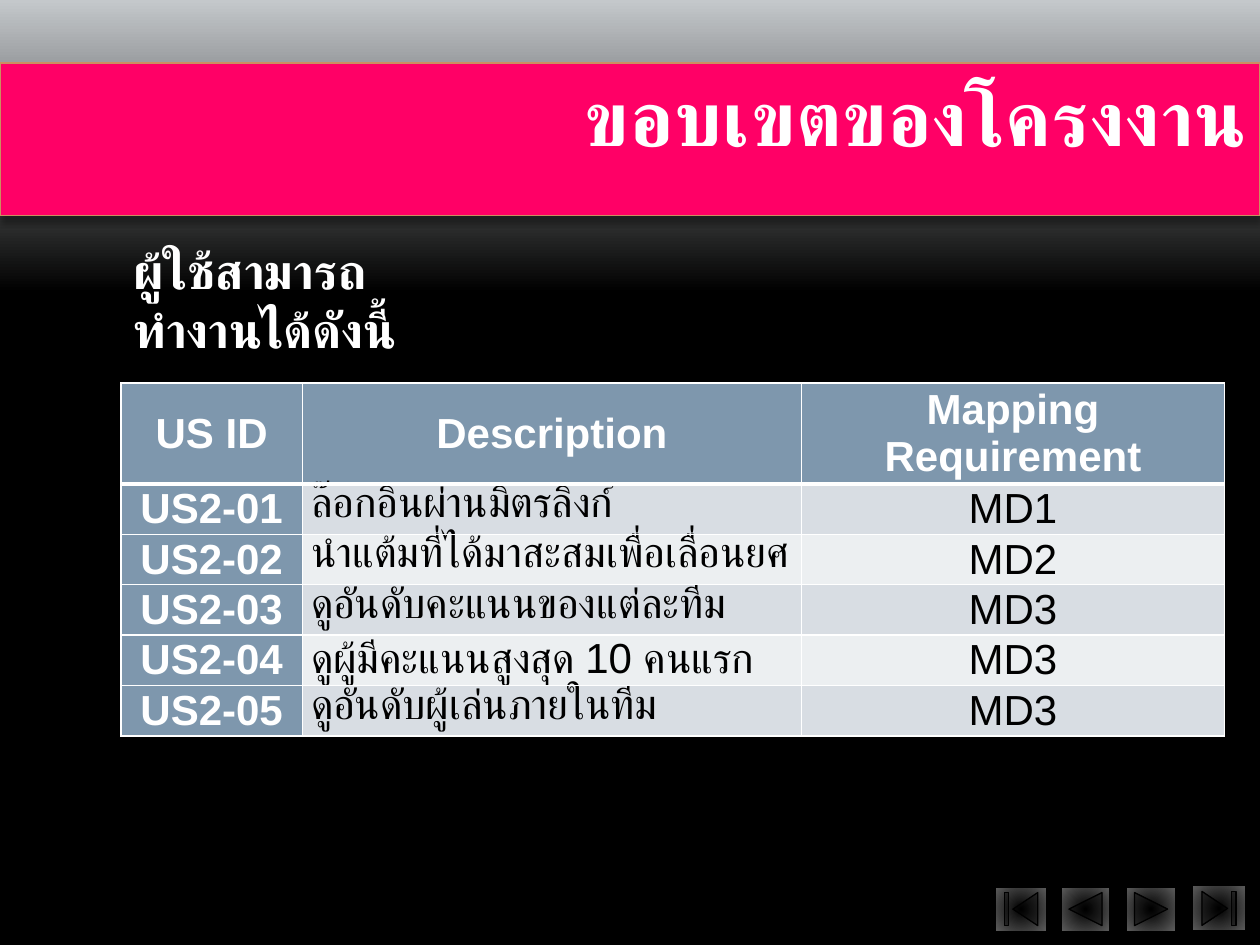
from pptx import Presentation, util as u
from pptx.dml.color import RGBColor
from pptx.enum import shapes, text
from pptx.oxml import parse_xml
from pptx.oxml.ns import nsdecls, qn

FONT = "Arial"
WHITE, BLACK, PINK, BORDER = "FFFFFF", "000000", "FF0066", "CC8E60"
HEAD, BAND_DARK, BAND_LIGHT = "7E97AD", "D8DDE3", "ECEFF1"

# Content
TITLE = "ขอบเขตของโครงงาน"
INTRO = "ผู้ใช้สามารถทำงานได้ดังนี้"
ROWS = [
    ("US ID", "Description", "Mapping Requirement"),
    ("US2-01", "ล๊อกอินผ่านมิตรลิงก์", "MD1"),
    ("US2-02", "นำแต้มที่ได้มาสะสมเพื่อเลื่อนยศ", "MD2"),
    ("US2-03", "ดูอันดับคะแนนของแต่ละทีม", "MD3"),
    ("US2-04", "ดูผู้มีคะแนนสูงสุด 10 คนแรก", "MD3"),
    ("US2-05", "ดูอันดับผู้เล่นภายในทีม", "MD3"),
]
SHAPE = shapes.MSO_SHAPE
BUTTONS = [  # kind, width, height
    (SHAPE.ACTION_BUTTON_BEGINNING, 0.41, 0.35),
    (SHAPE.ACTION_BUTTON_BACK_OR_PREVIOUS, 0.39, 0.35),
    (SHAPE.ACTION_BUTTON_FORWARD_OR_NEXT, 0.39, 0.35),
    (SHAPE.ACTION_BUTTON_END, 0.43, 0.36),
]

# Layout in inches
LEFT, TABLE_TOP, HEADER_HEIGHT, ROW_HEIGHT = 0.96, 3.04, 0.8, 0.4
COLUMNS = (1.44, 3.96, 3.36)
BUTTON_LEFT, BUTTON_STEP, BUTTON_BOTTOM = 7.9, 0.52, 7.39


def color(value):
    return RGBColor.from_string(value)


def inches(*values):
    return [u.Inches(value) for value in values]


def add_run(paragraph, words, size, shade=WHITE, bold=True):
    run = paragraph.add_run()
    run.text = words
    run.font.name, run.font.size, run.font.bold = FONT, u.Pt(size), bold
    run.font.color.rgb = color(shade)
    return run


def set_gradient(properties, stops, direction):
    """Replace the solid fill of an element by a gradient."""
    marks = "".join(f'<a:gs pos="{position * 1000}"><a:srgbClr val="{shade}"/></a:gs>'
                    for position, shade in stops)
    gradient = parse_xml(f'<a:gradFill {nsdecls("a")} rotWithShape="1">'
                         f'<a:gsLst>{marks}</a:gsLst>{direction}</a:gradFill>')
    properties.replace(properties.find(qn("a:solidFill")), gradient)


def outline_and_shadow(shape, line_color):
    shape.line.color.rgb = color(line_color)
    shape.line.width = u.Pt(0.75)
    shape.element.spPr.append(parse_xml(
        f'<a:effectLst {nsdecls("a")}><a:outerShdw blurRad="{u.Pt(4)}" dist="{u.Pt(3.4)}" '
        f'dir="5400000" rotWithShape="0"><a:srgbClr val="{BLACK}"><a:alpha val="40000"/>'
        f'</a:srgbClr></a:outerShdw></a:effectLst>'))


def set_borders(cell, bottom):
    properties = cell._tc.get_or_add_tcPr()
    for index, (side, width) in enumerate(zip("LRTB", (1, 1, 1, bottom))):
        properties.insert(index, parse_xml(
            f'<a:ln{side} {nsdecls("a")} w="{u.Pt(width)}"><a:solidFill>'
            f'<a:srgbClr val="{WHITE}"/></a:solidFill></a:ln{side}>'))


def fill_cell(cell, words, row, column):
    header = row == 0 or column == 0
    description = column == 1 and row > 0
    cell.fill.solid()
    cell.fill.fore_color.rgb = color(HEAD if header else BAND_DARK if row % 2 else BAND_LIGHT)
    set_borders(cell, 3 if row == 0 else 1)
    cell.margin_left = cell.margin_right = u.Inches(0.07)
    cell.margin_top = cell.margin_bottom = 0
    cell.vertical_anchor = text.MSO_ANCHOR.TOP if description else text.MSO_ANCHOR.MIDDLE
    paragraph = cell.text_frame.paragraphs[0]
    paragraph.alignment = text.PP_ALIGN.LEFT if description else text.PP_ALIGN.CENTER
    add_run(paragraph, words, 24, WHITE if header else BLACK, header)


presentation = Presentation()
presentation.slide_width, presentation.slide_height = inches(10, 7.5)
slide = presentation.slides.add_slide(presentation.slide_layouts[5])

# Background
slide.background.fill.solid()
set_gradient(slide.element.find(".//" + qn("p:bgPr")),
             [(0, "C4C8CB"), (31, BLACK), (100, BLACK)], '<a:lin ang="5400000" scaled="0"/>')

# Title band
title = slide.shapes.title
title.left, title.top, title.width, title.height = inches(0, 0.5, 10, 1.21)
title.fill.solid()
title.fill.fore_color.rgb = color(PINK)
outline_and_shadow(title, BORDER)
title.text_frame.vertical_anchor = text.MSO_ANCHOR.TOP
title.text_frame.auto_size = text.MSO_AUTO_SIZE.NONE
paragraph = title.text_frame.paragraphs[0]
paragraph.alignment = text.PP_ALIGN.RIGHT
add_run(paragraph, TITLE, 44).font._element.set("spc", "50")

# User story table
heights = [HEADER_HEIGHT] + [ROW_HEIGHT] * (len(ROWS) - 1)
table = slide.shapes.add_table(len(ROWS), len(COLUMNS), *inches(
    LEFT, TABLE_TOP, sum(COLUMNS), sum(heights))).table
for column, width in enumerate(COLUMNS):
    table.columns[column].width = u.Inches(width)
for row, words in enumerate(ROWS):
    table.rows[row].height = u.Inches(heights[row])
    for column, word in enumerate(words):
        fill_cell(table.cell(row, column), word, row, column)

# Introduction
intro = slide.shapes.add_textbox(*inches(LEFT, 2.09, 3.02, 0.57))
intro.text_frame.word_wrap = True
intro.text_frame.vertical_anchor = text.MSO_ANCHOR.MIDDLE
add_run(intro.text_frame.paragraphs[0], INTRO, 28)

# Navigation buttons
for index, (kind, width, height) in enumerate(BUTTONS):
    button = slide.shapes.add_shape(kind, *inches(
        BUTTON_LEFT + index * BUTTON_STEP, BUTTON_BOTTOM - height, width, height))
    button.fill.solid()
    set_gradient(button.element.spPr, [(0, BLACK), (100, "5E5E5E")],
                 '<a:path path="circle"><a:fillToRect l="100000" t="100000" '
                 'r="100000" b="100000"/></a:path>')
    outline_and_shadow(button, BLACK)

presentation.save("out.pptx")
